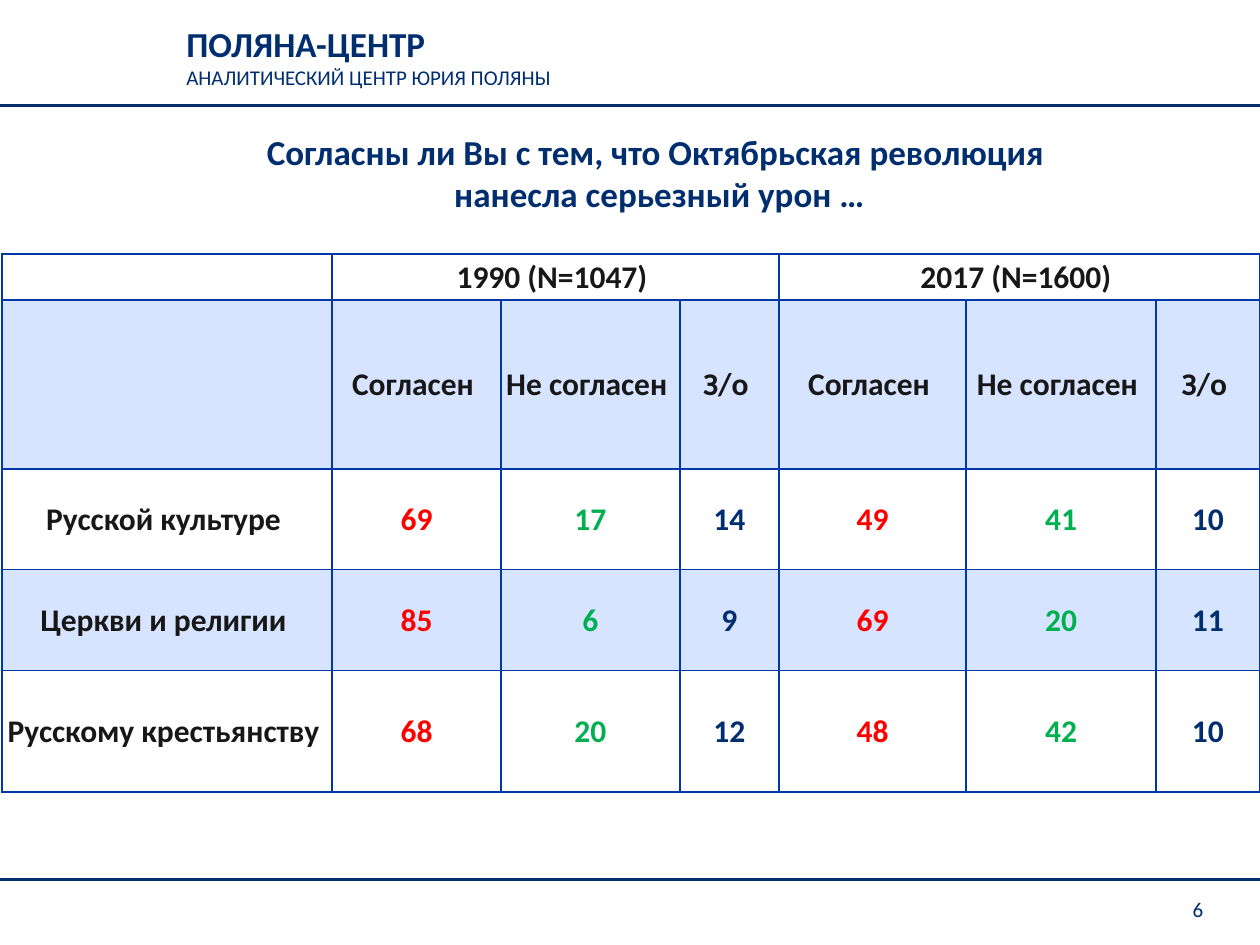
from dataclasses import dataclass

from lxml.etree import SubElement
from pptx import Presentation
from pptx.dml.color import RGBColor
from pptx.enum.shapes import MSO_CONNECTOR
from pptx.enum.text import MSO_ANCHOR, PP_ALIGN
from pptx.oxml.ns import qn
from pptx.util import Pt


@dataclass(frozen=True)
class Theme:
    font: str = "Calibri"
    navy: str = "002E6E"
    ink: str = "171717"
    agree: str = "FF0000"
    disagree: str = "00B050"
    band: str = "D6E4FF"
    border: str = "0038A8"
    title: int = 20
    body: int = 18
    small: int = 12


class Deck:
    def __init__(self, theme, width, height):
        self.theme = theme
        self.prs = Presentation()
        self.prs.slide_width, self.prs.slide_height = Pt(width), Pt(height)
        self.s = self.prs.slides.add_slide(self.prs.slide_layouts[6])

    def style(self, p, size, color, bold=False, align=PP_ALIGN.LEFT):
        p.alignment = align
        f = p.font
        f.name, f.size, f.bold = self.theme.font, Pt(size), bold
        f.color.rgb = RGBColor.from_string(color)

    def text(self, box, lines, align=PP_ALIGN.LEFT, anchor=MSO_ANCHOR.TOP):
        """Add a text box; each line is (text, size, bold)."""
        tf = self.s.shapes.add_textbox(*map(Pt, box)).text_frame
        tf.word_wrap = True
        tf.vertical_anchor = anchor
        for i, (text, size, bold) in enumerate(lines):
            p = tf.add_paragraph() if i else tf.paragraphs[0]
            p.text = text
            self.style(p, size, self.theme.navy, bold, align)

    def rule(self, y):
        """Draw a line across the full slide width."""
        line = self.s.shapes.add_connector(
            MSO_CONNECTOR.STRAIGHT, 0, Pt(y), self.prs.slide_width, Pt(y))
        line.line.color.rgb = RGBColor.from_string(self.theme.navy)
        line.line.width = Pt(1.5)
        SubElement(line._element.spPr, qn("a:effectLst"))

    def borders(self, cell):
        tcPr = cell._tc.get_or_add_tcPr()
        for i, side in enumerate(("lnL", "lnR", "lnT", "lnB")):
            ln = tcPr.makeelement(qn(f"a:{side}"), {"w": str(Pt(1))})
            fill = SubElement(ln, qn("a:solidFill"))
            SubElement(fill, qn("a:srgbClr"), val=self.theme.border)
            tcPr.insert(i, ln)

    def table(self, left, top, widths, heights, rows, spans, banded, colors):
        """Add a table; colors colour the numeric cells by column."""
        frame = self.s.shapes.add_table(
            len(rows), len(widths), Pt(left), Pt(top),
            Pt(sum(widths)), Pt(sum(heights)))
        tbl = frame.table
        for col, width in zip(tbl.columns, widths):
            col.width = Pt(width)
        for row, height in zip(tbl.rows, heights):
            row.height = Pt(height)
        for r, values in enumerate(rows):
            for c, value in enumerate(values):
                cell = tbl.cell(r, c)
                cell.margin_left = cell.margin_right = cell.margin_top = Pt(0.7)
                cell.margin_bottom = 0
                cell.vertical_anchor = MSO_ANCHOR.MIDDLE
                if r in banded:
                    cell.fill.solid()
                    cell.fill.fore_color.rgb = RGBColor.from_string(self.theme.band)
                else:
                    cell.fill.background()
                self.borders(cell)
                p = cell.text_frame.paragraphs[0]
                p.text = str(value)
                color = colors[c] if isinstance(value, int) else self.theme.ink
                self.style(p, self.theme.body, color, True, PP_ALIGN.CENTER)
        for r, first, last in spans:
            tbl.cell(r, first).merge(tbl.cell(r, last))


def main():
    t = Theme()
    d = Deck(t, 720, 540)

    # Header and footer
    d.text((99.4, 9.4, 380, 46), [
        ("ПОЛЯНА-ЦЕНТР", t.title, True),
        ("АНАЛИТИЧЕСКИЙ ЦЕНТР ЮРИЯ ПОЛЯНЫ", t.small, False),
    ])
    for y in (60.2, 502.6):
        d.rule(y)
    d.text((643.7, 508.6, 51, 22.3), [("6", t.small, False)],
           PP_ALIGN.RIGHT, MSO_ANCHOR.MIDDLE)

    # Title
    d.text((25.2, 71.3, 703.4, 55.4), [
        ("Согласны ли Вы с тем, что Октябрьская революция ", t.title, True),
        ("нанесла серьезный урон …", t.title, True),
    ], PP_ALIGN.CENTER)

    # Survey table: two years, three answers each
    answers = ["Согласен ", "Не согласен ", "З/о "]
    rows = [
        ["", "1990 (N=1047) ", "", "", "2017 (N=1600) ", "", ""],
        [""] + answers * 2,
        ["Русской культуре ", 69, 17, 14, 49, 41, 10],
        ["Церкви и религии ", 85, 6, 9, 69, 20, 11],
        ["Русскому крестьянству ", 68, 20, 12, 48, 42, 10],
    ]
    d.table(
        1.2, 145.2,
        widths=[188.6, 96.5, 102.2, 56.7, 107, 108.4, 59.4],
        heights=[26.2, 96.5, 57.7, 57.7, 69.4],
        rows=rows,
        spans=[(0, 1, 3), (0, 4, 6)],
        banded=(1, 3),
        colors=[t.ink] + [t.agree, t.disagree, t.navy] * 2,
    )

    d.prs.save("out.pptx")


if __name__ == "__main__":
    main()
